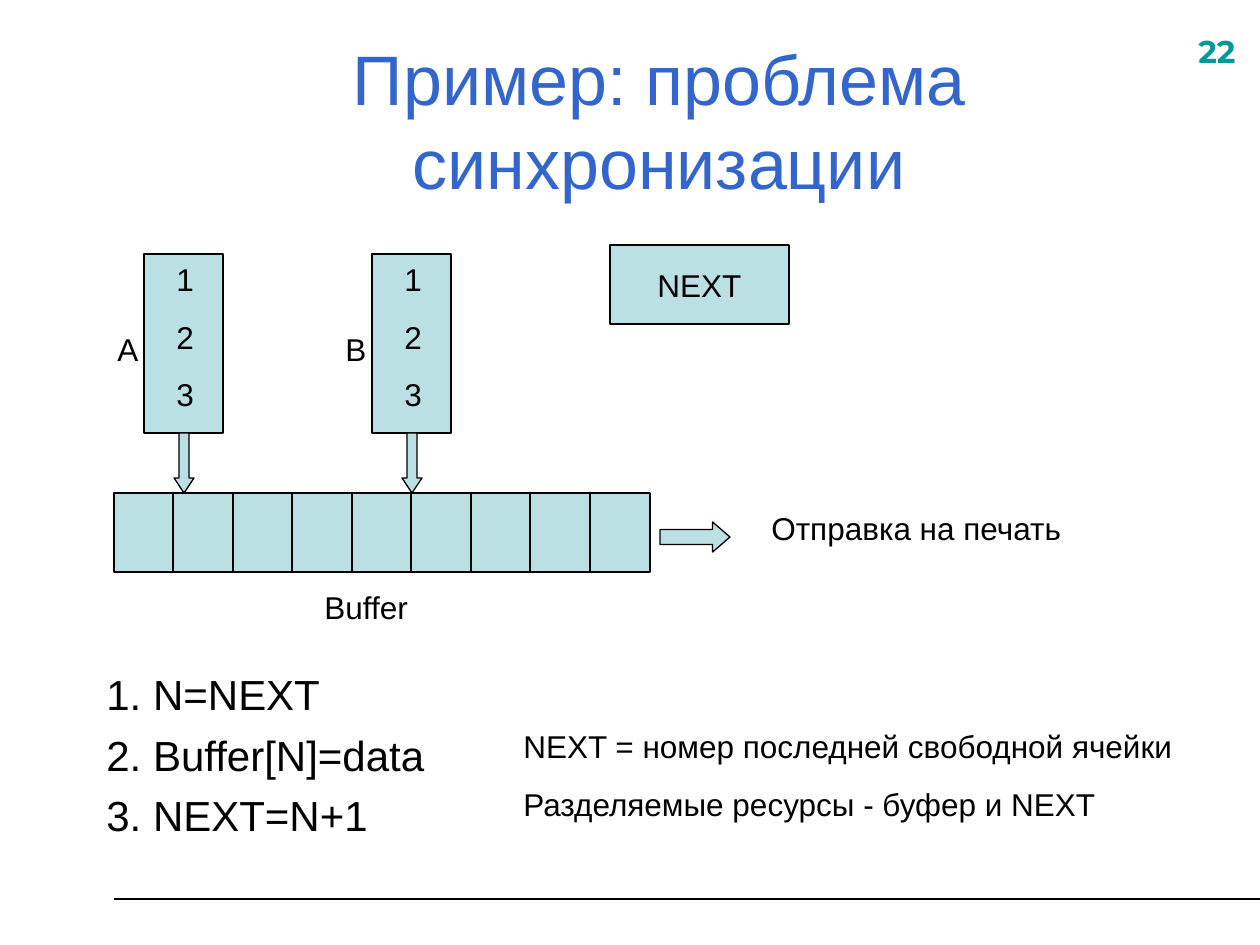
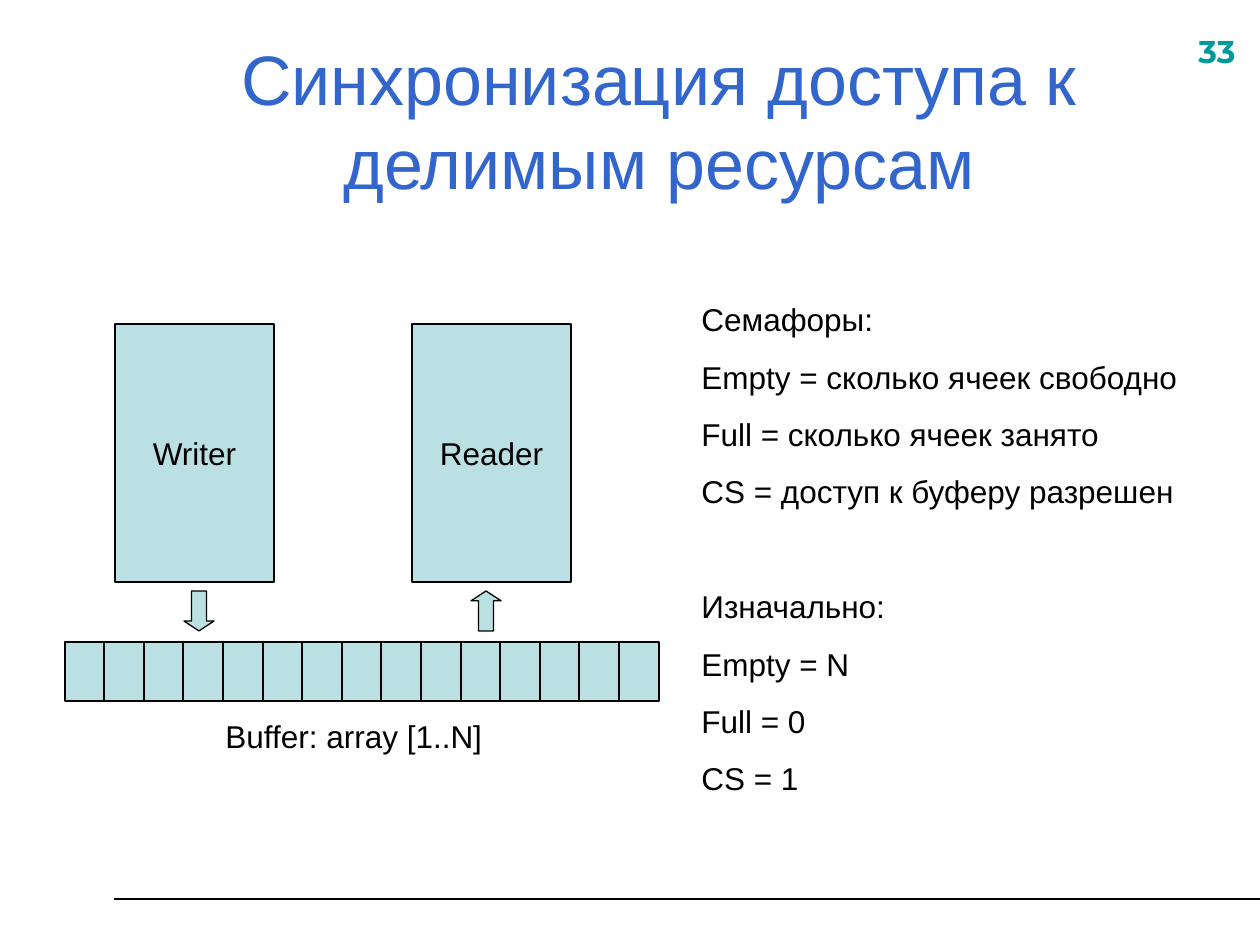
from lxml import etree
from pptx import Presentation
from pptx.dml.color import RGBColor
from pptx.enum.shapes import MSO_CONNECTOR, MSO_SHAPE
from pptx.enum.text import MSO_ANCHOR, PP_ALIGN
from pptx.oxml.ns import qn
from pptx.util import Pt

RECT, DOWN = MSO_SHAPE.RECTANGLE, MSO_SHAPE.DOWN_ARROW
UP, RIGHT = MSO_SHAPE.UP_ARROW, MSO_SHAPE.RIGHT_ARROW
LEFT, CENTER = PP_ALIGN.LEFT, PP_ALIGN.CENTER
TOP, MIDDLE = MSO_ANCHOR.TOP, MSO_ANCHOR.MIDDLE
STRAIGHT = MSO_CONNECTOR.STRAIGHT

PX = 914400 / 126
COLORS = {
    "ink": "000000",
    "title": "3366CC",
    "number": "009999",
    "fill": "BBE0E3",
}


def box(slide, left, top, width, height, kind=None, head=None):
    """Add a filled shape, or a text box when no kind is given."""
    place = [round(n * PX) for n in (left, top, width, height)]
    if kind is None:
        return slide.shapes.add_textbox(*place)
    shape = slide.shapes.add_shape(kind, *place)
    shape.shadow.inherit = False
    shape.fill.solid()
    shape.fill.fore_color.rgb = RGBColor.from_string(COLORS["fill"])
    shape.line.color.rgb = RGBColor.from_string(COLORS["ink"])
    shape.line.width = Pt(0.75)
    if head is not None:
        shape.adjustments[0] = 0.5
        shape.adjustments[1] = head
    return shape


def write(shape, *lines, size=18, color="ink", font="Arial", bold=False,
          align=LEFT, anchor=TOP, gap=11.2, wrap=True):
    frame = shape.text_frame
    frame.word_wrap = wrap
    frame.vertical_anchor = anchor
    for i, line in enumerate(lines):
        para = frame.paragraphs[0] if i == 0 else frame.add_paragraph()
        para.alignment = align
        para.space_before = Pt(gap if i else 0)
        run = para.add_run()
        run.text = line
        run.font.size = Pt(size)
        run.font.name = font
        run.font.bold = bold
        run.font.color.rgb = RGBColor.from_string(COLORS[color])
    return frame


deck = Presentation()
deck.slide_width = round(1260 * PX)
deck.slide_height = round(945 * PX)

# Shared frame: rule, page number and title
slides = []
for number, title in (
    ("22", "Пример: проблема синхронизации"),
    ("33", "Синхронизация доступа к делимым ресурсам"),
):
    slide = deck.slides.add_slide(deck.slide_layouts[6])
    ends = [round(n * PX) for n in (114, 899, 1260, 899)]
    rule = slide.shapes.add_connector(STRAIGHT, *ends)
    rule.line.color.rgb = RGBColor.from_string(COLORS["ink"])
    rule.line.width = Pt(1.25)
    etree.SubElement(rule._element.spPr, qn("a:effectLst"))
    write(box(slide, 1186, 26, 79, 55), number,
          color="number", font="Montserrat", bold=True)
    write(box(slide, 92, 40, 1134, 158), title,
          size=40, color="title", align=CENTER, anchor=MIDDLE)
    slides.append(slide)
race, guard = slides

# Buffer cells on both slides
for slide, count, left, top, width, height in (
    (race, 9, 114, 493, 536, 79),
    (guard, 15, 65, 642, 594, 59),
):
    edges = [left + width * i // count for i in range(count + 1)]
    for start, end in zip(edges, edges[1:]):
        box(slide, start, top, end - start, height, RECT)

# Slide 1: two processes race for one buffer
for name, left in (("A", 144), ("B", 372)):
    box(race, left, 254, 79, 179, RECT)
    write(box(race, left + 20, 254, 39, 166), "1", "2", "3")
    write(box(race, left - 39, 324, 49, 50), name)
    box(race, left + 30, 433, 20, 60, DOWN, 0.75)

write(box(race, 610, 245, 179, 79, RECT), "NEXT",
      align=CENTER, anchor=MIDDLE, wrap=False)
box(race, 660, 522, 70, 30, RIGHT, 0.58)
write(box(race, 759, 503, 397, 50), "Отправка на печать")
write(box(race, 312, 582, 139, 50), "Buffer")
write(box(race, 94, 662, 358, 186),
      "1. N=NEXT", "2. Buffer[N]=data", "3. NEXT=N+1", size=24, gap=6)
write(box(race, 511, 721, 704, 108),
      "NEXT = номер последней свободной ячейки",
      "Разделяемые ресурсы - буфер и NEXT")

# Slide 2: semaphores guard the buffer
for name, left, kind, tip in (
    ("Writer", 115, DOWN, 184),
    ("Reader", 412, UP, 471),
):
    write(box(guard, left, 324, 159, 258, RECT), name,
          align=CENTER, anchor=MIDDLE, wrap=False)
    box(guard, tip, 591, 30, 40, kind, 0.33)

write(box(guard, 213, 711, 282, 50), "Buffer: array [1..N]", wrap=False)
notes = write(box(guard, 689, 294, 525, 510),
              "Семафоры:",
              "Empty = сколько ячеек свободно",
              "Full = сколько ячеек занято",
              "CS = доступ к буферу разрешен",
              "Изначально:",
              "Empty = N",
              "Full = 0",
              "CS = 1")
notes.paragraphs[4].space_before = Pt(44)

deck.save("out.pptx")
